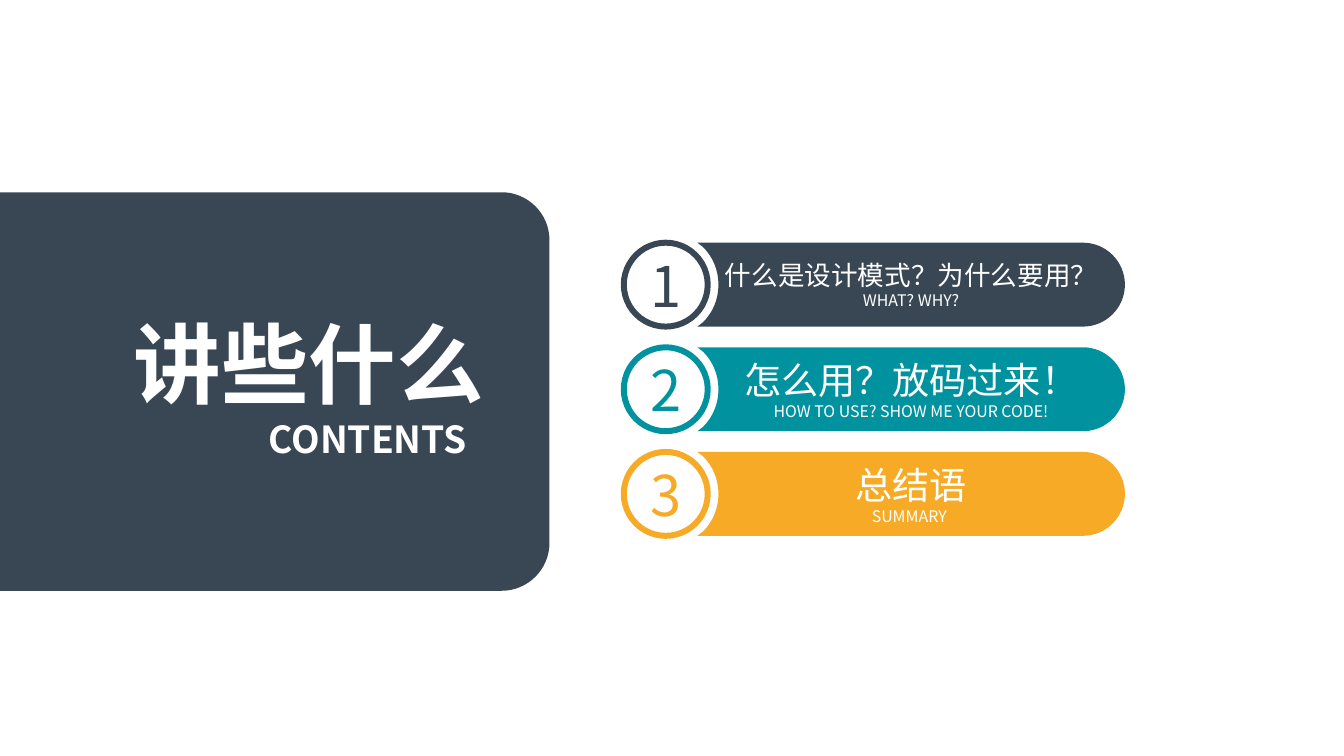
from pptx import Presentation, util as u
from pptx.dml.color import RGBColor
from pptx.enum import shapes, text
from lxml import etree

FONT = "Noto Sans CJK SC"
DARK, TEAL, GOLD, WHITE = "394754", "00939F", "F6AA26", "FFFFFF"


def paint(item, hue):
    """Give a fill or a font one solid colour."""
    if hasattr(item, "solid"):
        item.solid()
        item.fore_color.rgb = RGBColor.from_string(hue)
    else:
        item.color.rgb = RGBColor.from_string(hue)


def write(shape, *lines, hue=WHITE, bold=False, top=False):
    """Fill a shape with centred lines, each a (words, size) pair."""
    frame = shape.text_frame
    frame.word_wrap = True
    frame.margin_left = frame.margin_right = 0
    frame.margin_top = frame.margin_bottom = 0
    anchor = text.MSO_ANCHOR
    frame.vertical_anchor = anchor.TOP if top else anchor.MIDDLE
    for i, (words, size) in enumerate(lines):
        para = frame.add_paragraph() if i else frame.paragraphs[0]
        para.alignment = text.PP_ALIGN.CENTER
        run = para.add_run()
        run.text = words
        run.font.size, run.font.bold, run.font.name = u.Pt(size), bold, FONT
        paint(run.font, hue)
        # East Asian face
        props = run.font._element
        latin = props.find("{*}latin")
        east = etree.SubElement(props, latin.tag.replace("latin", "ea"))
        east.set("typeface", FONT)


deck = Presentation()
deck.slide_width, deck.slide_height = u.Cm(35.71), u.Cm(20.09)
slide = deck.slides.add_slide(deck.slide_layouts[6])

# Outlines as steps: one point is a line, three points are a curve
right, top, base, bend = 14.6, 5.11, 15.7, 1.27
pull = 0.45 * bend
panel = [
    [(0, top)],
    [(right - bend, top)],
    [(right - pull, top), (right, top + pull), (right, top + bend)],
    [(right, base - bend)],
    [(right, base - pull), (right - pull, base), (right - bend, base)],
    [(0, base)],
]
outlines = [(panel, DARK)]

size, first, step = 2.23, 6.45, 2.78
half = size / 2
hub, start, end = 17.69, 18.53, 29.89
pull = 0.45 * half
for i, hue in enumerate((DARK, TEAL, GOLD)):
    high = first + i * step
    mid, low = high + half, high + size
    bar = [
        [(start, high)],
        [(end - half, high)],
        [(end - pull, high), (end, high + pull), (end, mid)],
        [(end, low - pull), (end - pull, low), (end - half, low)],
        [(start, low)],
        [(start + 0.15, mid + 1)],
        [(start + 0.41, mid + 0.74), (start + 0.56, mid + 0.39), (start + 0.56, mid)],
        [(start + 0.56, mid - 0.39), (start + 0.41, mid - 0.74), (start + 0.15, mid - 1)],
    ]
    outlines.append((bar, hue))

forms = []
for steps, hue in outlines:
    points = [(u.Cm(x), u.Cm(y)) for part in steps for x, y in part]
    pen = slide.shapes.build_freeform(*points[0])
    pen.add_line_segments(points[1:], close=True)
    form = pen.convert_to_shape()
    form.shadow.inherit = False
    paint(form.fill, hue)
    form.line.fill.background()
    # Join each three-point step into one curve
    edges = iter(list(form._element.iter("{*}lnTo")))
    for part in steps[1:]:
        group = [next(edges) for point in part]
        if len(group) == 3:
            group[0].addprevious(curve := etree.Element(
                group[0].tag.replace("lnTo", "cubicBezTo")))
            for edge in group:
                curve.append(edge[0])
                edge.getparent().remove(edge)
    forms.append(form)

# Topics: bar text and numbered ring
topics = [
    ("什么是设计模式？为什么要用？", 20, "WHAT? WHY?"),
    ("怎么用？放码过来！", 28, "HOW TO USE? SHOW ME YOUR CODE!"),
    ("总结语", 28, "SUMMARY "),
]
for i, (name, points, gloss) in enumerate(topics):
    hue = outlines[i + 1][1]
    write(forms[i + 1], (name, points), (gloss, 12))
    ring = slide.shapes.add_shape(
        shapes.MSO_SHAPE.OVAL, u.Cm(hub - half), u.Cm(first + i * step),
        u.Cm(size), u.Cm(size))
    ring.shadow.inherit = False
    paint(ring.fill, WHITE)
    paint(ring.line.fill, hue)
    ring.line.width = u.Pt(4.5)
    write(ring, (str(i + 1), 42.2), hue=hue)

# Panel titles
title = slide.shapes.add_textbox(u.Cm(2.66), u.Cm(8.23), u.Cm(11.1), u.Cm(2.82))
write(title, ("讲些什么", 66), bold=True)
label = slide.shapes.add_textbox(u.Cm(5.82), u.Cm(11.06), u.Cm(7.9), u.Cm(1.19))
write(label, ("CONTENTS", 28), bold=True, top=True)

deck.save("out.pptx")
